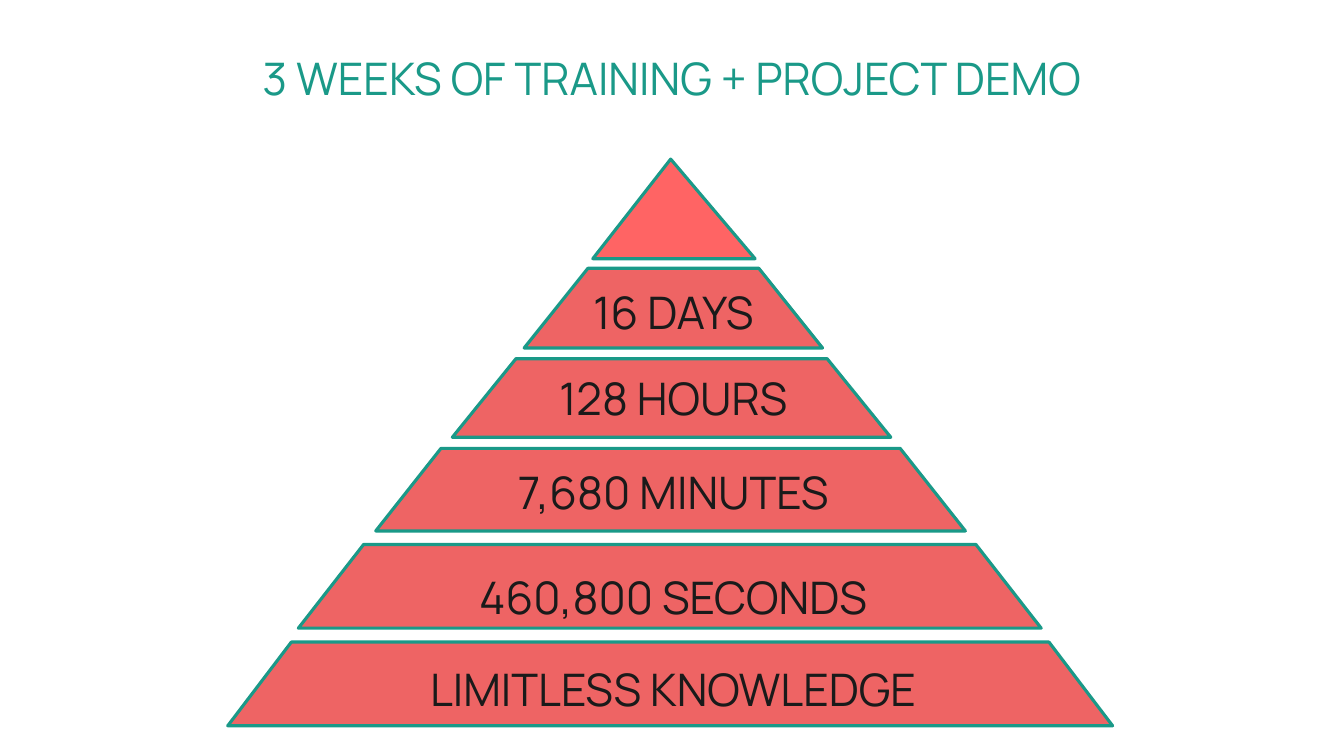
from pptx import Presentation
from pptx.dml.color import RGBColor
from pptx.enum.shapes import MSO_SHAPE
from pptx.enum.text import MSO_ANCHOR, PP_ALIGN
from pptx.util import Cm, Pt

TRIANGLE, TRAPEZOID = MSO_SHAPE.ISOSCELES_TRIANGLE, MSO_SHAPE.TRAPEZOID
TOP, MIDDLE, CENTER = MSO_ANCHOR.TOP, MSO_ANCHOR.MIDDLE, PP_ALIGN.CENTER

COLORS = {"teal": "1A9988", "apex": "FF6464", "tier": "EE6464", "ink": "1A1A1A"}
TITLE = "3 WEEKS OF TRAINING + PROJECT DEMO"

# Lengths in cm: left, top, width, height
APEX = (14.94, 4.01, 4.09, 2.51)
APEX_SKEW = 0.48
LABEL_CENTER = 16.97

# Tier place, slant, label, label top, label width, label style
TIERS = [
    ((13.21, 6.76, 7.52, 2.01), 0.80, "16 DAYS", 7.04, 6.15, "snug"),
    ((11.40, 9.04, 11.05, 1.98), 0.81, "128 HOURS", 9.22, 7.52, "snug"),
    ((9.47, 11.30, 14.86, 2.08), 0.79, "7,680 MINUTES", 11.58, 11.05, "snug"),
    ((7.52, 13.72, 18.72, 2.11), 0.78, "460,800 SECONDS", 13.21, 24.87, "wide"),
    ((5.74, 16.18, 22.30, 2.11), 0.76, "LIMITLESS KNOWLEDGE", 15.54, 24.87, "wide"),
]

NO_INSETS = {"margin_left": 0, "margin_right": 0, "margin_top": 0, "margin_bottom": 0}
LABEL_STYLES = {
    "snug": {"height": 1.63, "spacing": 1.0, "frame": {"vertical_anchor": TOP}},
    "wide": {"height": 3.51, "spacing": 1.1,
             "frame": {"vertical_anchor": MIDDLE, **NO_INSETS}},
}
# The bottom inset lifts the title above the middle of its box
TITLE_FRAME = {"vertical_anchor": MIDDLE, **NO_INSETS, "margin_bottom": Cm(1.7)}


def color(name):
    return RGBColor.from_string(COLORS[name])


def write(box, text, ink, spacing, frame_format):
    frame = box.text_frame
    for name, value in {"word_wrap": True, **frame_format}.items():
        setattr(frame, name, value)
    para = frame.paragraphs[0]
    for name, value in {"alignment": CENTER, "line_spacing": spacing}.items():
        setattr(para, name, value)
    span = para.add_run()
    span.text = text
    for name, value in {"name": "Manrope", "size": Pt(32), "bold": False}.items():
        setattr(span.font, name, value)
    span.font.color.rgb = color(ink)


def add_block(page, kind, place, slant, fill):
    block = page.shapes.add_shape(kind, *map(Cm, place))
    block.adjustments[0] = slant
    block.shadow.inherit = False
    block.fill.solid()
    block.fill.fore_color.rgb = color(fill)
    block.line.color.rgb = color("teal")
    block.line.width = Pt(2.25)


def main():
    deck = Presentation()
    deck.slide_width, deck.slide_height = Cm(33.87), Cm(19.05)
    page = deck.slides.add_slide(deck.slide_layouts[5])

    title = page.shapes.title
    title.left, title.top, title.width, title.height = 0, Cm(0.61), Cm(33.87), Cm(4.27)
    write(title, TITLE, "teal", 1.1, TITLE_FRAME)

    add_block(page, TRIANGLE, APEX, APEX_SKEW, "apex")
    for place, slant, label, label_top, label_width, style_name in TIERS:
        add_block(page, TRAPEZOID, place, slant, "tier")
        style = LABEL_STYLES[style_name]
        label_left = LABEL_CENTER - label_width / 2
        box = page.shapes.add_textbox(
            *map(Cm, (label_left, label_top, label_width, style["height"])))
        write(box, label, "ink", style["spacing"], style["frame"])

    deck.save("out.pptx")


if __name__ == "__main__":
    main()
